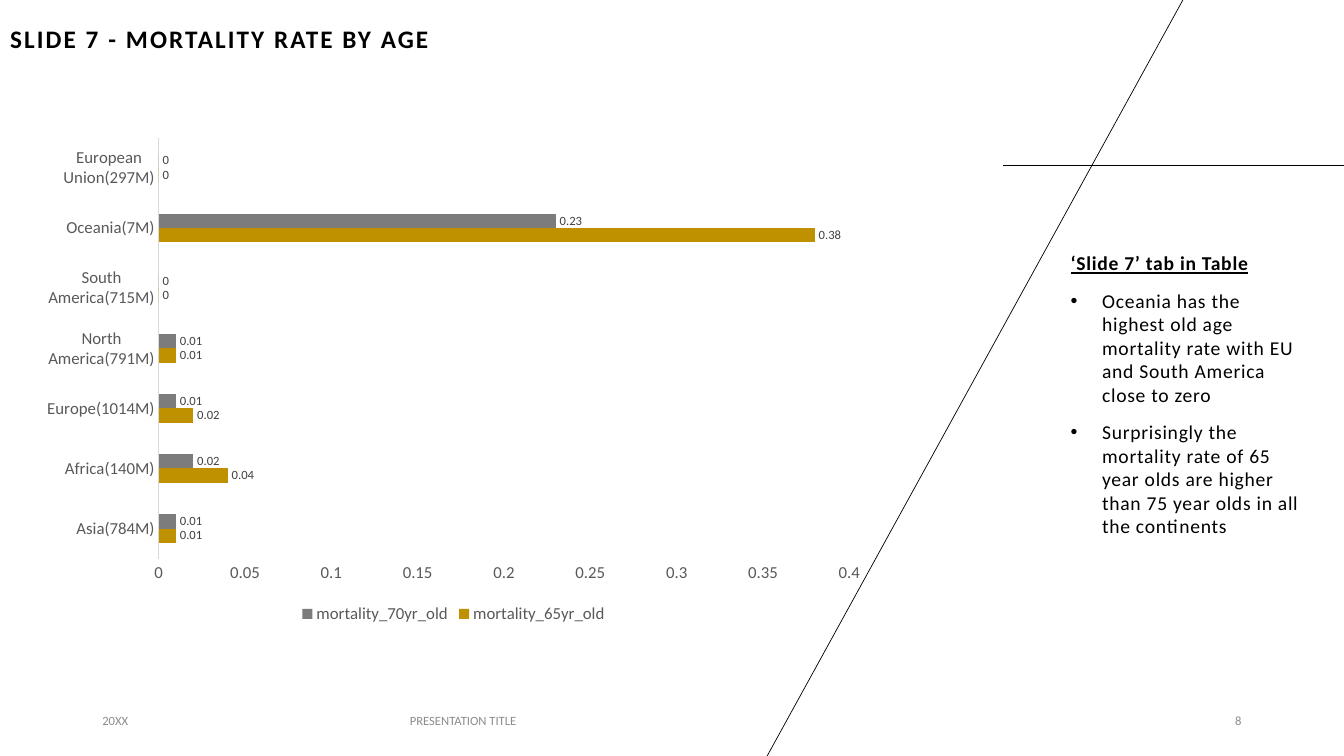
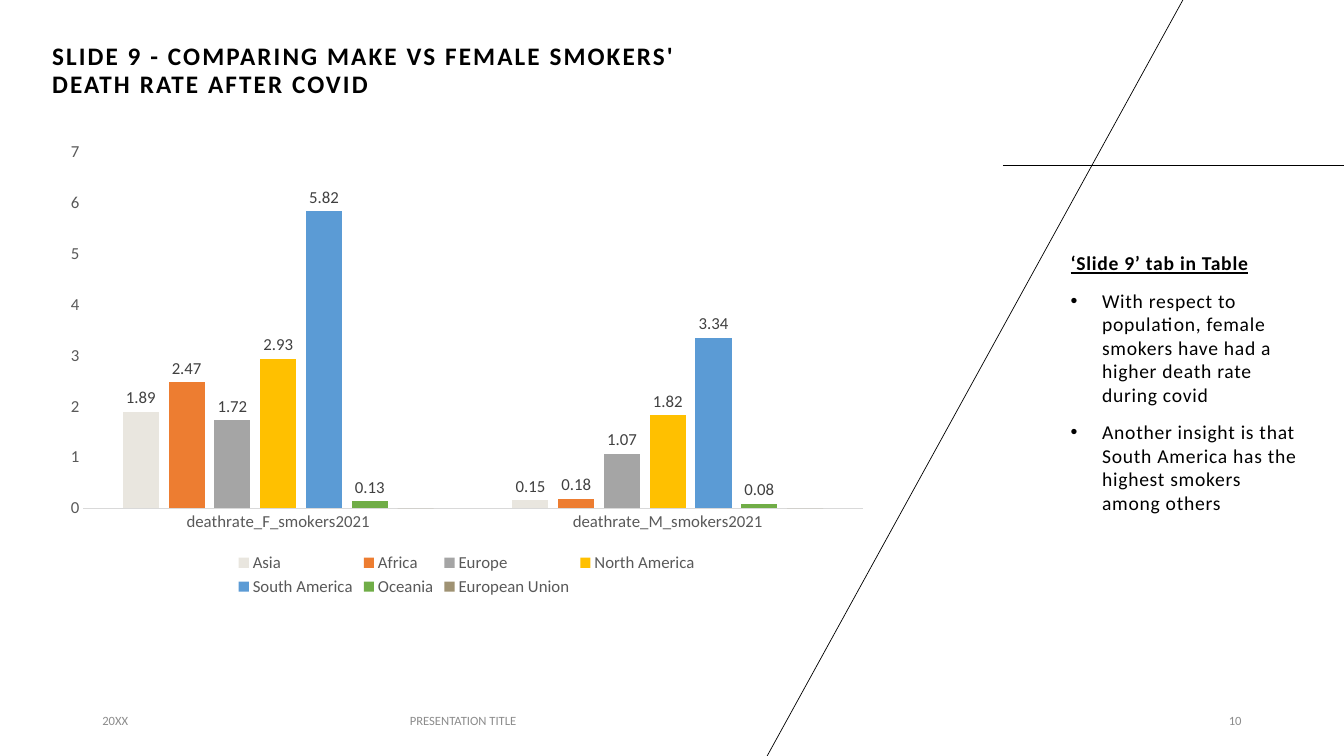
from dataclasses import dataclass

from lxml.etree import SubElement
from pptx import Presentation
from pptx.chart.chart import Chart
from pptx.chart.data import CategoryChartData
from pptx.dml.color import RGBColor
from pptx.enum.chart import XL_CHART_TYPE, XL_LABEL_POSITION, XL_LEGEND_POSITION, XL_TICK_MARK
from pptx.enum.shapes import MSO_CONNECTOR
from pptx.enum.text import MSO_ANCHOR, MSO_AUTO_SIZE, PP_ALIGN
from pptx.oxml.ns import qn
from pptx.slide import Slide
from pptx.text.text import Font, TextFrame, _Paragraph
from pptx.util import Pt

# Shared style
FONT = "Calibri"
BLACK = RGBColor(0x00, 0x00, 0x00)
FOOTER_GRAY = RGBColor(0x8C, 0x8C, 0x8C)
AXIS_GRAY = RGBColor(0x59, 0x59, 0x59)
LABEL_GRAY = RGBColor(0x40, 0x40, 0x40)
RULE_GRAY = RGBColor(0xD9, 0xD9, 0xD9)
DARK_GOLD = RGBColor(0xBF, 0x90, 0x00)
DARK_GRAY = RGBColor(0x7C, 0x7C, 0x7C)
CREAM = RGBColor(0xE9, 0xE6, 0xDF)
ORANGE = RGBColor(0xED, 0x7D, 0x31)
GRAY = RGBColor(0xA5, 0xA5, 0xA5)
YELLOW = RGBColor(0xFF, 0xC0, 0x00)
BLUE = RGBColor(0x5B, 0x9B, 0xD5)
GREEN = RGBColor(0x70, 0xAD, 0x47)
TAUPE = RGBColor(0x9F, 0x92, 0x73)


@dataclass(frozen=True)
class Box:
    left: float
    top: float
    width: float
    height: float


@dataclass(frozen=True)
class Series:
    name: str
    values: tuple[float, ...]
    color: RGBColor
    labelled: bool = True


@dataclass(frozen=True)
class ChartPlan:
    kind: XL_CHART_TYPE
    box: Box
    categories: tuple[str, ...]
    series: tuple[Series, ...]
    axis_maximum: float
    axis_step: float
    overlap: int
    label_size: float


@dataclass(frozen=True)
class Page:
    number: int
    title: str
    title_box: Box
    heading: str
    findings: tuple[str, ...]
    chart: ChartPlan


@dataclass(frozen=True)
class FooterItem:
    text: str
    box: Box
    align: PP_ALIGN


BODY_BOX = Box(757.5, 175.7, 181.5, 253.5)
# Decorative lines: start x, start y, end x, end y
FRAME_LINES = ((716.4, 118.1, 960, 118.1), (846, -2, 547.2, 541.4))

PAGES = (
    Page(
        8,
        "SLIDE 7 - MORTALITY RATE BY AGE",
        Box(0, 3, 425.5, 39),
        "‘Slide 7’ tab in Table",
        (
            "Oceania has the highest old age mortality rate with EU and South America close to zero",
            "Surprisingly the mortality rate of 65 year olds are higher than 75 year olds "
            "in all the continents",
        ),
        ChartPlan(
            XL_CHART_TYPE.BAR_CLUSTERED,
            Box(21.6, 91.4, 604.8, 357.1),
            ("Asia(784M)", "Africa(140M)", "Europe(1014M)", "North America(791M)",
             "South America(715M)", "Oceania(7M)", "European Union(297M)"),
            (
                Series("mortality_65yr_old", (0.01, 0.04, 0.02, 0.01, 0, 0.38, 0), DARK_GOLD),
                Series("mortality_70yr_old", (0.01, 0.02, 0.01, 0.01, 0, 0.23, 0), DARK_GRAY),
            ),
            axis_maximum=0.4, axis_step=0.05, overlap=0, label_size=9,
        ),
    ),
    Page(
        10,
        "SLIDE 9 - COMPARING MAKE VS FEMALE SMOKERS' DEATH RATE AFTER COVID",
        Box(30, 11, 476, 63),
        "‘Slide 9’ tab in Table",
        (
            "With respect to population, female smokers have had a higher death rate during covid",
            "Another insight is that South America has the highest smokers among others",
        ),
        ChartPlan(
            XL_CHART_TYPE.COLUMN_CLUSTERED,
            Box(38.9, 94.3, 589, 334.8),
            ("deathrate_F_smokers2021", "deathrate_M_smokers2021"),
            (
                Series("Asia", (1.89, 0.15), CREAM),
                Series("Africa", (2.47, 0.18), ORANGE),
                Series("Europe", (1.72, 1.07), GRAY),
                Series("North America", (2.93, 1.82), YELLOW),
                Series("South America", (5.82, 3.34), BLUE),
                Series("Oceania", (0.13, 0.08), GREEN),
                Series("European Union", (0, 0), TAUPE, labelled=False),
            ),
            axis_maximum=7, axis_step=1, overlap=-27, label_size=12,
        ),
    ),
)


def place(shape, box: Box) -> None:
    shape.left, shape.top = Pt(box.left), Pt(box.top)
    shape.width, shape.height = Pt(box.width), Pt(box.height)


def set_font(font: Font, size: float, color: RGBColor, bold: bool = False) -> None:
    font.name = FONT
    font.size = Pt(size)
    font.bold = bold
    font.color.rgb = color


def set_tracking(para: _Paragraph, points: float) -> None:
    for span in para.runs:
        span._r.get_or_add_rPr().set("spc", str(round(points * 100)))


def set_bullet(para: _Paragraph, character: str = "") -> None:
    """Give a hanging bullet, or none when no character is named."""
    properties = para._p.get_or_add_pPr()
    indent = Pt(22.5) if character else 0
    properties.set("marL", str(indent))
    properties.set("indent", str(-indent))
    if character:
        SubElement(properties, qn("a:buFont"), typeface="Arial")
        SubElement(properties, qn("a:buChar"), char=character)
    else:
        SubElement(properties, qn("a:buNone"))


def set_frame(frame: TextFrame, anchor: MSO_ANCHOR) -> None:
    frame.word_wrap = True
    frame.auto_size = MSO_AUTO_SIZE.NONE
    frame.vertical_anchor = anchor


def add_frame_lines(slide: Slide) -> None:
    for ends in FRAME_LINES:
        line = slide.shapes.add_connector(MSO_CONNECTOR.STRAIGHT, *(Pt(end) for end in ends))
        line.line.color.rgb = BLACK
        line.line.width = Pt(0.5)
        SubElement(line._element.spPr, qn("a:effectLst"))


def fill_title(slide: Slide, page: Page) -> None:
    title = slide.shapes.title
    place(title, page.title_box)
    set_frame(title.text_frame, MSO_ANCHOR.BOTTOM)
    para = title.text_frame.paragraphs[0]
    para.text = page.title
    para.alignment = PP_ALIGN.LEFT
    para.line_spacing = 0.9
    set_font(para.font, 18, BLACK, bold=True)
    set_tracking(para, 1.5)


def fill_body(slide: Slide, page: Page) -> None:
    body = slide.placeholders[1]
    place(body, BODY_BOX)
    frame = body.text_frame
    set_frame(frame, MSO_ANCHOR.TOP)
    for index, text in enumerate((page.heading, *page.findings)):
        is_heading = index == 0
        para = frame.paragraphs[0] if is_heading else frame.add_paragraph()
        para.text = text
        para.space_before = Pt(0 if is_heading else 10)
        set_bullet(para, "" if is_heading else "•")
        set_font(para.font, 14, BLACK, bold=is_heading)
        para.font.underline = is_heading
        set_tracking(para, 0.5)


def add_footer(slide: Slide, number: int) -> None:
    items = (
        FooterItem("20XX", Box(66, 500.4, 96, 28.8), PP_ALIGN.LEFT),
        FooterItem("PRESENTATION TITLE", Box(193.5, 500.4, 274.5, 28.8), PP_ALIGN.CENTER),
        FooterItem(str(number), Box(678, 500.4, 216, 28.8), PP_ALIGN.RIGHT),
    )
    for item in items:
        box = slide.shapes.add_textbox(0, 0, 0, 0)
        place(box, item.box)
        set_frame(box.text_frame, MSO_ANCHOR.MIDDLE)
        para = box.text_frame.paragraphs[0]
        para.text = item.text
        para.alignment = item.align
        set_font(para.font, 9, FOOTER_GRAY)


def style_axes(chart: Chart, plan: ChartPlan) -> None:
    for axis in (chart.category_axis, chart.value_axis):
        axis.has_major_gridlines = False
        axis.major_tick_mark = axis.minor_tick_mark = XL_TICK_MARK.NONE
        set_font(axis.tick_labels.font, 12, AXIS_GRAY)
    chart.category_axis.format.line.color.rgb = RULE_GRAY
    chart.category_axis.format.line.width = Pt(0.75)
    values = chart.value_axis
    values.format.line.fill.background()
    values.minimum_scale, values.maximum_scale = 0, plan.axis_maximum
    values.major_unit = plan.axis_step


def add_chart(slide: Slide, plan: ChartPlan) -> None:
    data = CategoryChartData()
    data.categories = plan.categories
    for series in plan.series:
        data.add_series(series.name, series.values)
    area = plan.box
    chart = slide.shapes.add_chart(
        plan.kind, Pt(area.left), Pt(area.top), Pt(area.width), Pt(area.height), data
    ).chart
    set_font(chart.font, 10, BLACK)
    chart.has_title = False
    chart.has_legend = True
    chart.legend.position = XL_LEGEND_POSITION.BOTTOM
    chart.legend.include_in_layout = False
    set_font(chart.legend.font, 12, AXIS_GRAY)
    style_axes(chart, plan)

    # Bars and their value labels
    plot = chart.plots[0]
    plot.gap_width, plot.overlap = 219, plan.overlap
    plot.vary_by_categories = False
    for bars, series in zip(plot.series, plan.series):
        bars.format.fill.solid()
        bars.format.fill.fore_color.rgb = series.color
        bars.invert_if_negative = False
        if series.labelled:
            labels = bars.data_labels
            labels.show_value = True
            labels.position = XL_LABEL_POSITION.OUTSIDE_END
            set_font(labels.font, plan.label_size, LABEL_GRAY)


def main() -> None:
    deck = Presentation()
    deck.slide_width, deck.slide_height = Pt(960), Pt(540)
    for page in PAGES:
        slide = deck.slides.add_slide(deck.slide_layouts[1])
        add_frame_lines(slide)
        fill_title(slide, page)
        fill_body(slide, page)
        add_footer(slide, page.number)
        add_chart(slide, page.chart)
    deck.save("out.pptx")


if __name__ == "__main__":
    main()
